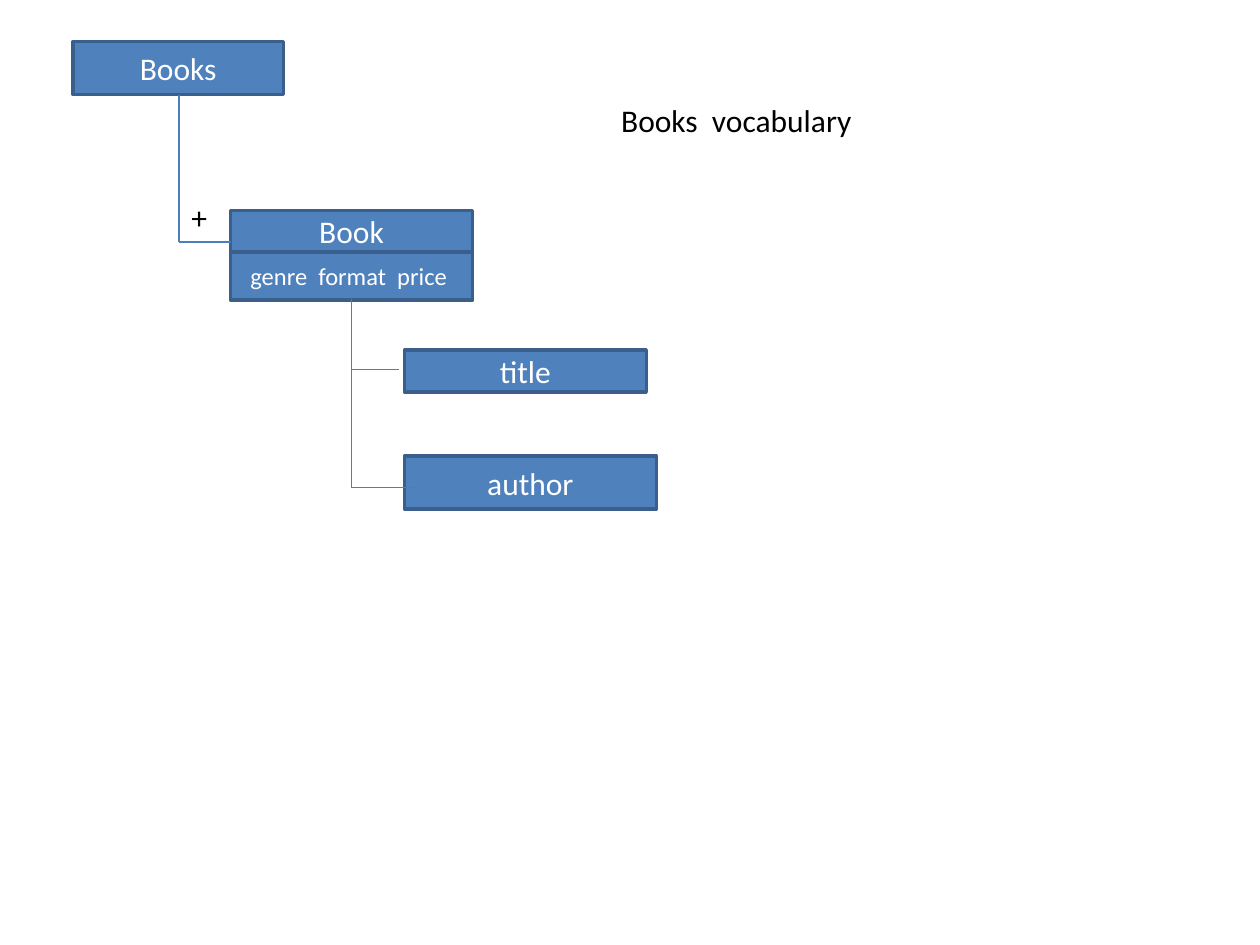
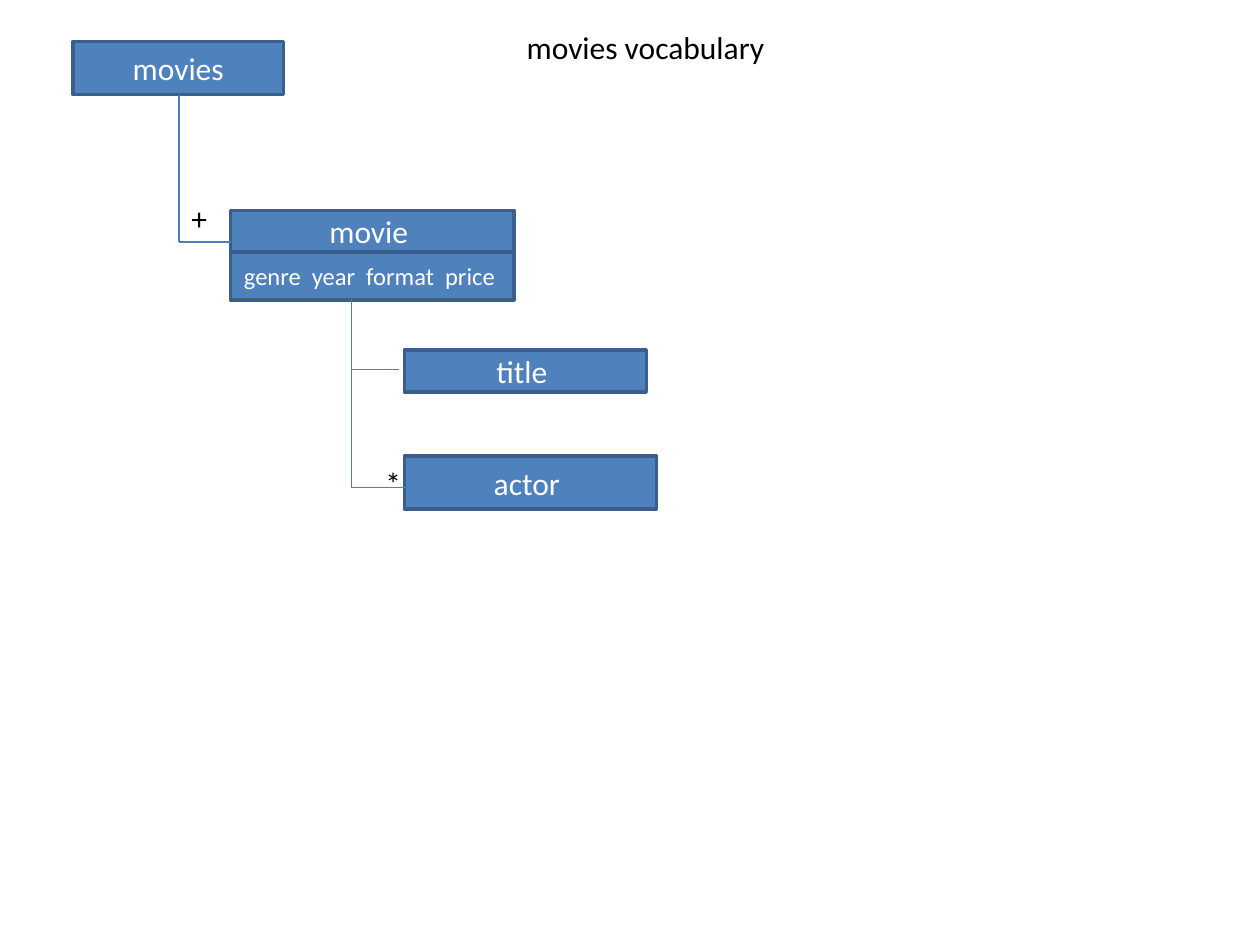
from pptx import Presentation
from pptx.dml.color import RGBColor
from pptx.enum.shapes import MSO_CONNECTOR, MSO_SHAPE
from pptx.enum.text import MSO_ANCHOR, MSO_AUTO_SIZE, PP_ALIGN
from pptx.oxml.ns import qn
from pptx.util import Inches, Pt
from lxml import etree

LINE, RECT = MSO_CONNECTOR.STRAIGHT, MSO_SHAPE.RECTANGLE
TOP, MIDDLE = MSO_ANCHOR.TOP, MSO_ANCHOR.MIDDLE
LEFT, CENTER = PP_ALIGN.LEFT, PP_ALIGN.CENTER
FIXED = MSO_AUTO_SIZE.NONE

# Content: each tree has a root, an entry with attributes, and two children
TREES = [
    {"title": ("Books  vocabulary", (4.83, 0.75, 2.17, 0.4)),
     "root": "Books", "entry": "Book", "attrs": "genre  format  price ",
     "wide": 1.92, "leaves": ("title", "author"),
     "marks": [("+", 1.42, 1.52)]},
    {"title": ("movies vocabulary", (4.08, 0.17, 2.58, 0.4)),
     "root": "movies", "entry": "movie ", "attrs": "genre  year  format  price ",
     "wide": 2.25, "leaves": ("title ", "actor "),
     "marks": [("+", 1.42, 1.53), ("*", 2.96, 3.63)]},
]

THEME = {
    "font": "Calibri", "size": 18, "small": 14,
    "fill": RGBColor(0x4F, 0x81, 0xBD), "edge": RGBColor(0x3A, 0x5F, 0x8C),
    "wire": RGBColor(0x4B, 0x7E, 0xBC), "light": RGBColor(255, 255, 255),
    "dark": RGBColor(0, 0, 0), "border": 2, "thin": 0.75,
}

# Places shared by both trees
ROOT = (0.58, 0.33, 1.67, 0.42)
ENTRY = (1.83, 1.67, 0.33)
ATTRS = (1.83, 2, 0.38)
LEAVES = [(3.21, 2.78, 1.92, 0.33), (3.21, 3.62, 2, 0.42)]
STEM, TRUNK = 1.42, 2.79
ENTRY_Y = 1.92
BRANCHES = [(3.17, 2.93), (3.29, 3.87)]
LAST_Y = BRANCHES[-1][1]
WIRES = [
    (TRUNK, 2.37, TRUNK, LAST_Y),
    (STEM, ENTRY_Y, ENTRY[0], ENTRY_Y),
    *[(TRUNK, y, x, y) for x, y in BRANCHES],
    (STEM, sum(ROOT[1::2]), STEM, ENTRY_Y),
]


def assign(item, values):
    """Set the attributes of an item from a dict."""
    for name, value in values.items():
        setattr(item, name, value)


def write(shape, text, color, size=THEME["size"], align=LEFT, anchor=TOP):
    """Put one formatted paragraph into a shape."""
    frame = shape.text_frame
    assign(frame, {"text": text, "word_wrap": True, "auto_size": FIXED,
                   "vertical_anchor": anchor})
    para = frame.paragraphs[0]
    para.alignment = align
    font = para.runs[0].font
    assign(font, {"name": THEME["font"], "size": Pt(size)})
    font.color.rgb = color


def draw_box(slide, text, place, size=THEME["size"]):
    """Add a bordered box with centred text."""
    box = slide.shapes.add_shape(RECT, *map(Inches, place))
    box.shadow.inherit = False
    box.fill.solid()
    box.fill.fore_color.rgb = THEME["fill"]
    box.line.color.rgb = THEME["edge"]
    box.line.width = Pt(THEME["border"])
    write(box, text, THEME["light"], size, CENTER, MIDDLE)


def draw_wire(slide, ends):
    """Add a thin line without a shadow."""
    wire = slide.shapes.add_connector(LINE, *map(Inches, ends))
    wire.line.color.rgb = THEME["wire"]
    wire.line.width = Pt(THEME["thin"])
    etree.SubElement(wire.element.spPr, qn("a:effectLst"))


def draw_title(slide, text, place):
    """Move the title placeholder and fill it."""
    title = slide.shapes.title
    names = ("left", "top", "width", "height")
    assign(title, dict(zip(names, map(Inches, place))))
    write(title, text, THEME["dark"])


def draw_tree(slide, tree):
    """Draw one vocabulary tree."""
    draw_title(slide, *tree["title"])
    draw_box(slide, tree["root"], ROOT)
    for key, (x, y, high), size in (("entry", ENTRY, THEME["size"]),
                                    ("attrs", ATTRS, THEME["small"])):
        draw_box(slide, tree[key], (x, y, tree["wide"], high), size)
    for text, place in zip(tree["leaves"], LEAVES):
        draw_box(slide, text, place)
    for ends in WIRES:
        draw_wire(slide, ends)
    for text, x, y in tree["marks"]:
        mark = slide.shapes.add_textbox(*map(Inches, (x, y, 0.25, 0.4)))
        write(mark, text, THEME["dark"])


deck = Presentation()
assign(deck, {"slide_width": Inches(10), "slide_height": Inches(7.5)})
for tree in TREES:
    draw_tree(deck.slides.add_slide(deck.slide_layouts[5]), tree)
deck.save("out.pptx")
